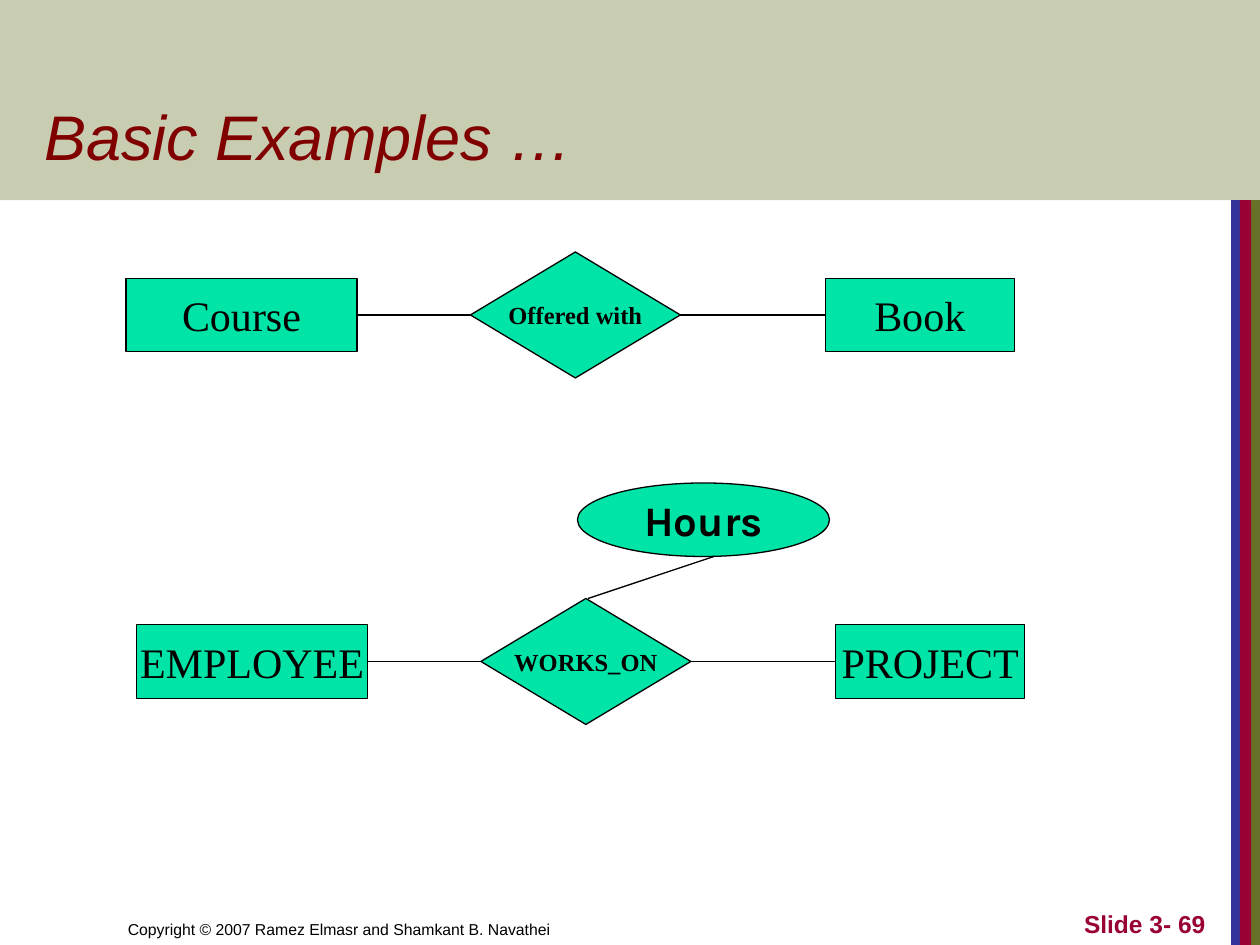
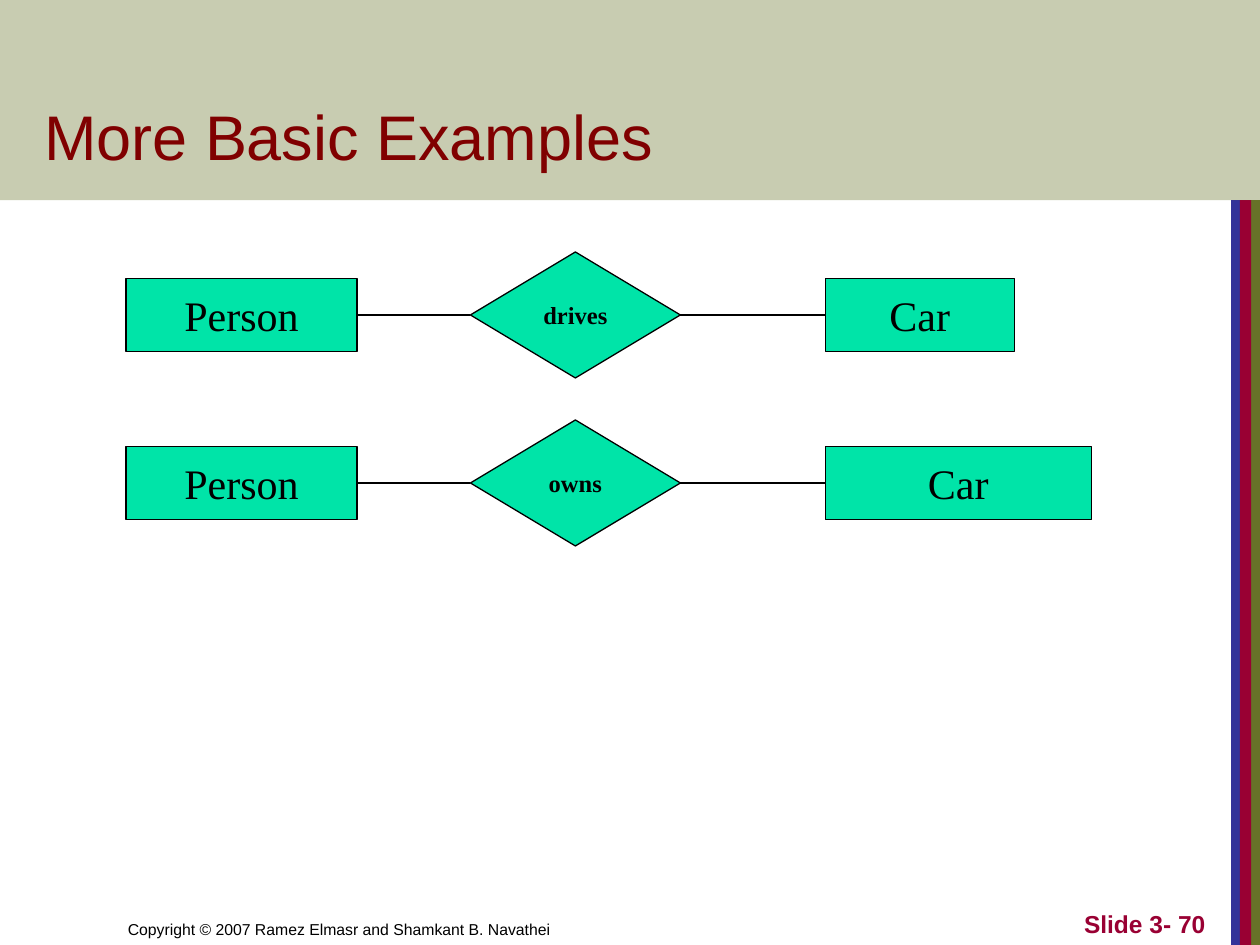
"""Builds two slides of basic entity-relationship diagrams."""
from lxml import etree
from pptx import Presentation
from pptx.dml.color import RGBColor
from pptx.enum.shapes import MSO_CONNECTOR, MSO_SHAPE
from pptx.enum.text import MSO_ANCHOR, MSO_AUTO_SIZE, PP_ALIGN
from pptx.oxml.ns import qn
from pptx.util import Pt

RECT, DIAMOND, OVAL = MSO_SHAPE.RECTANGLE, MSO_SHAPE.DIAMOND, MSO_SHAPE.OVAL
STRAIGHT = MSO_CONNECTOR.STRAIGHT
MIDDLE, BOTTOM = MSO_ANCHOR.MIDDLE, MSO_ANCHOR.BOTTOM
LEFT, CENTER, RIGHT = PP_ALIGN.LEFT, PP_ALIGN.CENTER, PP_ALIGN.RIGHT
NO_FIT = MSO_AUTO_SIZE.NONE

OLIVE, BLUE, CRIMSON, MAROON = "677228", "333399", "990033", "800000"
GREEN, BLACK = "00E4A8", "000000"
SLIDE_W, SLIDE_H, BAND_H = 720, 540, 114.4
STRIPES = [(712, 8, OLIVE), (703.5, 6.5, BLUE), (708.5, 6.5, CRIMSON)]
COPYRIGHT = "Copyright © 2007 Ramez Elmasr and Shamkant B. Navathei"

TITLE = {"name": "Arial", "size": Pt(36), "bold": False}
FOOTER = {"name": "Arial", "size": Pt(9)}
NUMBER = {"name": "Arial", "size": Pt(14), "bold": True}
ENTITY = {"name": "Times New Roman", "size": Pt(24), "bold": False}
RELATION = {"name": "Times New Roman", "size": Pt(14), "bold": True}
ATTRIBUTE = {"name": "Karla", "size": Pt(24), "bold": True}

ENTITY_W, ENTITY_H = 132, 42
RELATION_W, RELATION_H = 120, 72
RELATION_DX, SECOND_DX = 196.8, 399.6


def rgb(color):
    return RGBColor.from_string(color)


def write(sp, text, fmt, color, align, anchor, wrap=True):
    tf = sp.text_frame
    tf.text = text
    frame = {"word_wrap": wrap, "auto_size": NO_FIT, "vertical_anchor": anchor}
    for key, value in frame.items():
        setattr(tf, key, value)
    p = tf.paragraphs[0]
    p.alignment = align
    font = p.runs[0].font
    for key, value in fmt.items():
        setattr(font, key, value)
    font.color.rgb = rgb(color)


def add_block(s, kind, x, y, w, h, fill):
    sp = s.shapes.add_shape(kind, Pt(x), Pt(y), Pt(w), Pt(h))
    sp.shadow.inherit = False
    sp.fill.solid()
    sp.fill.fore_color.rgb = rgb(fill)
    sp.line.fill.background()
    return sp


def add_node(s, kind, x, y, w, h, text, fmt):
    sp = add_block(s, kind, x, y, w, h, GREEN)
    sp.line.color.rgb = rgb(BLACK)
    sp.line.width = Pt(0.75)
    write(sp, text, fmt, BLACK, CENTER, MIDDLE, wrap=False)


def add_link(s, x1, y1, x2, y2):
    cx = s.shapes.add_connector(STRAIGHT, Pt(x1), Pt(y1), Pt(x2), Pt(y2))
    cx.line.color.rgb = rgb(BLACK)
    cx.line.width = Pt(0.75)
    etree.SubElement(cx.element.spPr, qn("a:effectLst"))


def add_text(s, x, w, text, fmt, color, align):
    sp = s.shapes.add_textbox(Pt(x), Pt(504), Pt(w), Pt(36))
    write(sp, text, fmt, color, align, BOTTOM)


def add_title_band(s):
    sp = add_block(s, RECT, 0, 0, SLIDE_W, BAND_H, OLIVE)
    clr = sp.element.spPr.find(qn("a:solidFill")).find(qn("a:srgbClr"))
    etree.SubElement(clr, qn("a:alpha"), val="36000")


def add_slide(prs, title, number, italic=False):
    s = prs.slides.add_slide(prs.slide_layouts[5])
    for x, w, color in STRIPES:
        add_block(s, RECT, x, BAND_H, w, SLIDE_H - BAND_H, color)
    add_title_band(s)
    add_text(s, 66, 354, COPYRIGHT, FOOTER, BLACK, LEFT)
    add_text(s, 546, 150, f"Slide 3- {number}", NUMBER, CRIMSON, RIGHT)
    sp = s.shapes.title
    sp.left, sp.top, sp.width, sp.height = Pt(18), Pt(24), Pt(614), Pt(78.5)
    write(sp, title, {**TITLE, "italic": italic}, MAROON, LEFT, BOTTOM)
    s.shapes._spTree.append(sp.element)
    return s


def add_relationship(s, x, cy, first, relation, second, second_w=108):
    relation_x, second_x = x + RELATION_DX, x + SECOND_DX
    entity_y = cy - ENTITY_H / 2
    add_node(s, RECT, x, entity_y, ENTITY_W, ENTITY_H, first, ENTITY)
    add_node(s, RECT, second_x, entity_y, second_w, ENTITY_H, second, ENTITY)
    add_node(s, DIAMOND, relation_x, cy - RELATION_H / 2,
             RELATION_W, RELATION_H, relation, RELATION)
    add_link(s, x + ENTITY_W, cy, relation_x, cy)
    add_link(s, relation_x + RELATION_W, cy, second_x, cy)


def main():
    prs = Presentation()
    prs.slide_width, prs.slide_height = Pt(SLIDE_W), Pt(SLIDE_H)

    s = add_slide(prs, "Basic Examples …", 69, italic=True)
    add_relationship(s, 78, 378, "EMPLOYEE", "WORKS_ON", "PROJECT")
    add_node(s, OVAL, 330, 276, 144, ENTITY_H, "Hours", ATTRIBUTE)
    add_link(s, 336, 342, 408, 318)
    add_relationship(s, 72, 180, "Course", "Offered with", "Book")

    s = add_slide(prs, "More Basic Examples", 70)
    add_relationship(s, 72, 180, "Person", "drives", "Car")
    add_relationship(s, 72, 276, "Person", "owns", "Car", second_w=152)

    prs.save("out.pptx")


if __name__ == "__main__":
    main()
